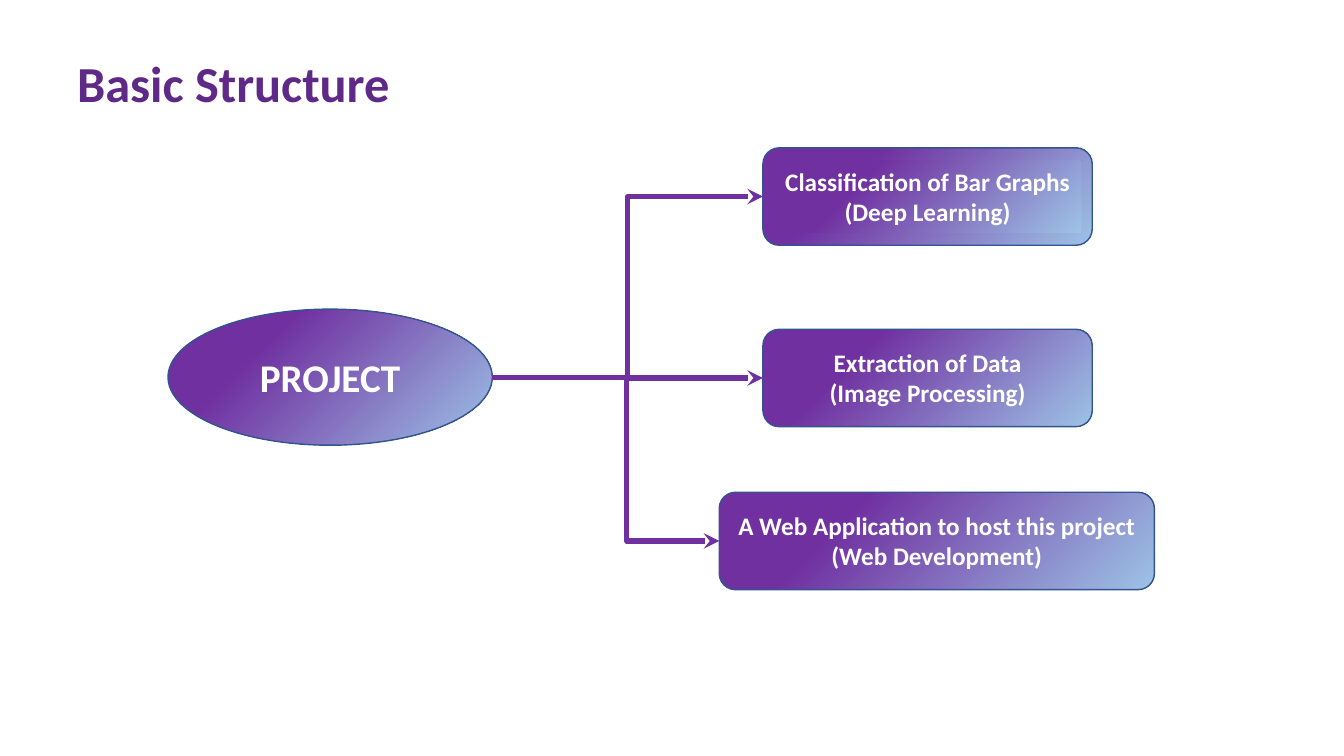
import copy

import pptx
import pptx.util
from lxml import etree
from pptx.dml.color import RGBColor
from pptx.enum.shapes import MSO_CONNECTOR, MSO_SHAPE
from pptx.enum.text import MSO_ANCHOR, PP_ALIGN
from pptx.oxml.ns import qn

PURPLE = RGBColor(0x70, 0x30, 0xA0)
SKY = RGBColor(0x9D, 0xC3, 0xE6)
NAVY = RGBColor(0x32, 0x54, 0x91)
PLUM = RGBColor(0x5F, 0x29, 0x87)
WHITE = RGBColor(0xFF, 0xFF, 0xFF)

# The slide is a grid of 80 columns by 45 square rows.
WIDE, HIGH = pptx.util.Inches(13.33), pptx.util.Inches(7.5)
UNIT = HIGH / 45

TITLE = (4, 2.8, 24.5, 4.25)
HUB = (10, 18.4, 19.3, 8.1)
CARD_HIGH, LABEL_HIGH = 5.8, 4.25
# left, top, width, label width, label filled, wrapped, elbow share, lines
CARDS = [
    (45.4, 8.8, 19.6, 18.3, True, False, 0.5,
     ["Classification of Bar Graphs", "(Deep Learning)"]),
    (45.4, 19.6, 19.6, 13, False, False, 0.5,
     ["Extraction of Data", "(Image Processing)"]),
    (42.8, 29.3, 25.9, 29.7, False, True, 0.593,
     ["A Web Application to host this project", "(Web Development)"]),
]


def grid(*cells):
    return [round(cell * UNIT) for cell in cells]


def blend(shape, start=0):
    """Fill with a diagonal gradient that stays purple up to 28 percent."""
    shape.fill.gradient()
    shape.fill.gradient_angle = 315
    stops = shape.element.xpath(".//a:gsLst")[0]
    stops.insert(1, copy.deepcopy(stops[0]))
    looks = [(start, PURPLE), (0.28, PURPLE), (1, SKY)]
    for stop, (place, color) in zip(shape.fill.gradient_stops, looks):
        stop.position = place
        stop.color.rgb = color


def panel(slide, kind, box, start=0):
    shape = slide.shapes.add_shape(kind, *grid(*box))
    shape.shadow.inherit = False
    blend(shape, start)
    shape.line.color.rgb = NAVY
    shape.line.width = pptx.util.Pt(1)
    return shape


def write(frame, lines, size, color, align=PP_ALIGN.CENTER):
    frame.text = "\n".join(lines)
    for para in frame.paragraphs:
        para.alignment = align
        font = para.font
        font.name, font.size, font.bold = "Calibri", pptx.util.Pt(size), True
        font.color.rgb = color


def title(slide, box):
    frame = slide.shapes.add_textbox(*grid(*box)).text_frame
    frame.word_wrap = True
    props = frame.paragraphs[0]._p.get_or_add_pPr()
    indent = pptx.util.Inches(0.5)
    props.set("marL", str(indent))
    props.set("indent", str(-indent))
    etree.SubElement(props, qn("a:buChar")).set("char", "❑")
    write(frame, ["Basic Structure"], 36, PLUM, PP_ALIGN.LEFT)


def hub(slide, box):
    shape = panel(slide, MSO_SHAPE.OVAL, box, 0.03)
    shape.text_frame.vertical_anchor = MSO_ANCHOR.MIDDLE
    write(shape.text_frame, ["PROJECT"], 28, WHITE)


def card(slide, box, span, filled, wrap, lines):
    """Draw a rounded card with its label centred on it."""
    left, top, width, high = box
    panel(slide, MSO_SHAPE.ROUNDED_RECTANGLE, box)
    place = (left + (width - span) / 2, top + (high - LABEL_HIGH) / 2,
             span, LABEL_HIGH)
    label = slide.shapes.add_textbox(*grid(*place))
    if filled:
        blend(label, 0.03)
    label.text_frame.word_wrap = wrap
    write(label.text_frame, lines, 18, WHITE)


def arrow(slide, start, end, share):
    """Draw an elbow arrow that turns at a share of its width."""
    link = slide.shapes.add_connector(
        MSO_CONNECTOR.ELBOW, *grid(*start, *end))
    link.line.color.rgb = PURPLE
    link.line.width = pptx.util.Pt(3.75)
    props = link.element.spPr
    guide = etree.SubElement(props.xpath(".//a:avLst")[0], qn("a:gd"))
    guide.set("name", "adj1")
    guide.set("fmla", f"val {round(share * 100000)}")
    etree.SubElement(props.find(qn("a:ln")), qn("a:tailEnd")).set(
        "type", "stealth")
    etree.SubElement(props, qn("a:effectLst"))


def main():
    deck = pptx.Presentation()
    deck.slide_width, deck.slide_height = WIDE, HIGH
    slide = deck.slides.add_slide(deck.slide_layouts[6])
    for left, top, width, span, filled, wrap, _, lines in CARDS:
        card(slide, (left, top, width, CARD_HIGH), span, filled, wrap, lines)
    hub(slide, HUB)
    left, top, width, high = HUB
    start = (left + width, top + high / 2)
    for left, top, *_, share, _ in CARDS:
        arrow(slide, start, (left, top + CARD_HIGH / 2), share)
    title(slide, TITLE)
    deck.save("out.pptx")


if __name__ == "__main__":
    main()
